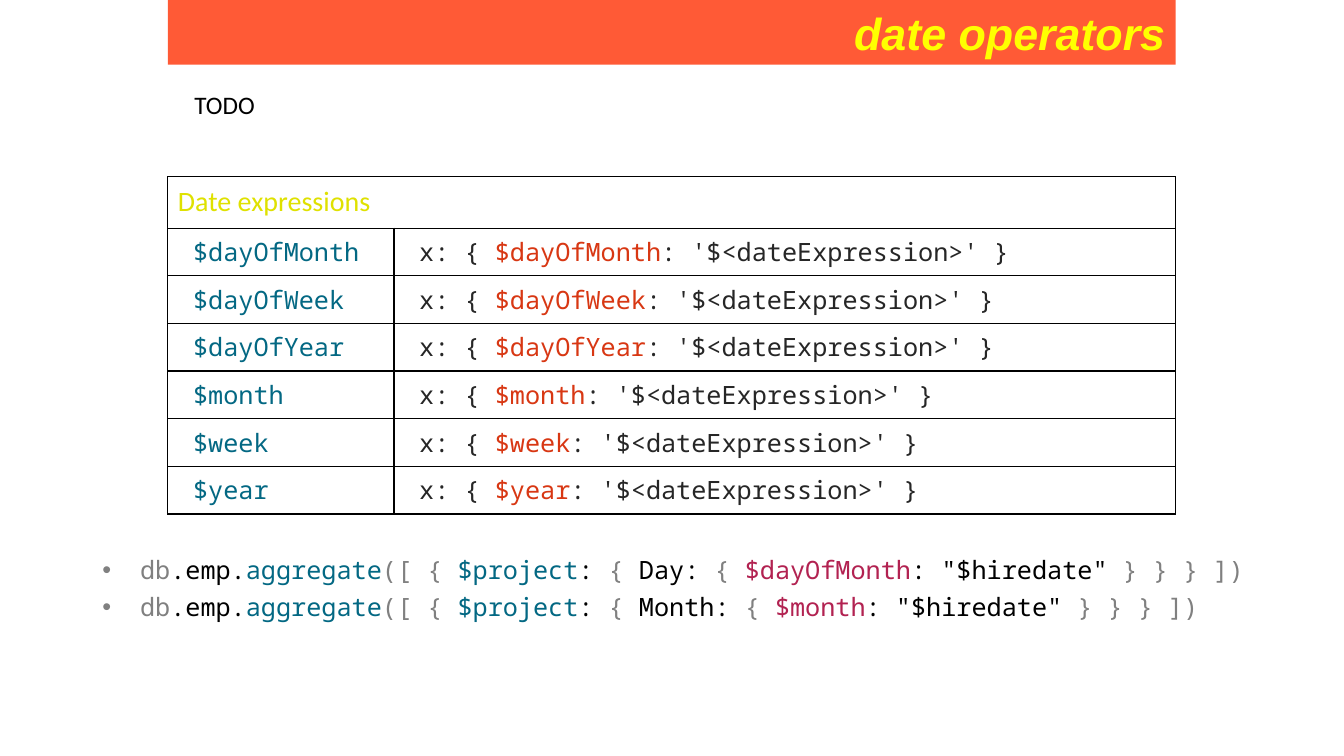
import lxml.etree
import pptx
import pptx.dml.color
import pptx.enum.text
import pptx.oxml.ns
import pptx.util

Cm = pptx.util.Cm
Pt = pptx.util.Pt
RGBColor = pptx.dml.color.RGBColor
Align = pptx.enum.text.PP_ALIGN
Anchor = pptx.enum.text.MSO_ANCHOR
qn = pptx.oxml.ns.qn

BLACK = RGBColor(0x00, 0x00, 0x00)
DARK = RGBColor(0x26, 0x26, 0x26)
GRAY = RGBColor(0x80, 0x80, 0x80)
TEAL = RGBColor(0x03, 0x68, 0x83)
RED = RGBColor(0xD8, 0x37, 0x13)
PINK = RGBColor(0xB2, 0x22, 0x51)
LIME = RGBColor(0xDF, 0xE1, 0x00)
YELLOW = RGBColor(0xFF, 0xFF, 0x00)
ORANGE = RGBColor(0xFF, 0x5A, 0x36)

HEAD = {"name": "Arial", "size": Pt(32), "bold": True, "italic": True}
NOTE = {"name": "Calibri", "size": Pt(18)}
GROUP = {"name": "Calibri", "size": Pt(20)}
CODE = {"name": "Noto Sans Mono", "size": Pt(18)}

NAMES = ["$dayOfMonth", "$dayOfWeek", "$dayOfYear", "$month", "$week", "$year"]
CALLS = [("Day", "$dayOfMonth"), ("Month", "$month")]


class Deck:
    """Hold the text styles and the current slide."""

    def __init__(self):
        """Open a wide deck with one title-only slide."""
        self.file = pptx.Presentation()
        self.file.slide_width = Cm(33.87)
        self.file.slide_height = Cm(19.05)
        self.slide = self.file.slides.add_slide(self.file.slide_layouts[5])

    def place(self, shape, box):
        """Set the left, top, width and height of a shape."""
        for key, size in zip(("left", "top", "width", "height"), box):
            setattr(shape, key, Cm(size))

    def fill(self, para, style, runs):
        """Add coloured runs in one style to a paragraph."""
        for text, color in runs:
            run = para.add_run()
            run.text = text
            for key, value in style.items():
                setattr(run.font, key, value)
            run.font.color.rgb = color

    def title(self, box, text):
        """Turn the title placeholder into a filled banner."""
        shape = self.slide.shapes.title
        self.place(shape, box)
        shape.fill.solid()
        shape.fill.fore_color.rgb = ORANGE
        frame = shape.text_frame
        frame.auto_size = pptx.enum.text.MSO_AUTO_SIZE.NONE
        frame.vertical_anchor = Anchor.MIDDLE
        para = frame.paragraphs[0]
        para.alignment = Align.RIGHT
        self.fill(para, HEAD, [(text, YELLOW)])

    def text(self, box, style, lines, mark=None):
        """Add a text box, with a bullet on each line if a mark is given."""
        frame = self.slide.shapes.add_textbox(*map(Cm, box)).text_frame
        frame.word_wrap = True
        for index, runs in enumerate(lines):
            para = frame.add_paragraph() if index else frame.paragraphs[0]
            self.fill(para, style, runs)
            if mark:
                para.space_before = Pt(5 if index else 0)
                self.bullet(para, mark)

    def bullet(self, para, mark):
        """Give a paragraph a hanging bullet."""
        props = para._p.get_or_add_pPr()
        props.set("marL", str(Cm(0.95)))
        props.set("indent", str(-Cm(0.95)))
        lxml.etree.SubElement(props, qn("a:buFont"), typeface="Arial")
        lxml.etree.SubElement(props, qn("a:buChar"), char=mark)

    def border(self, cell):
        """Draw a thin black line on each side of a cell."""
        props = cell._tc.get_or_add_tcPr()
        for index, side in enumerate("LRTB"):
            line = lxml.etree.Element(qn("a:ln" + side), w=str(Pt(1)))
            fill = lxml.etree.SubElement(line, qn("a:solidFill"))
            lxml.etree.SubElement(fill, qn("a:srgbClr"), val=str(BLACK))
            props.insert(index, line)

    def table(self, box, widths, heights, head, rows):
        """Add a plain ruled table under a merged heading row."""
        shape = self.slide.shapes.add_table(len(heights), len(widths), *map(Cm, box))
        grid = shape.table
        grid.first_row = grid.horz_banding = False
        for col, width in zip(grid.columns, widths):
            col.width = Cm(width)
        for row, height in zip(grid.rows, heights):
            row.height = Cm(height)
        for cell in grid.iter_cells():
            cell.fill.background()
            cell.vertical_anchor = Anchor.MIDDLE
            self.border(cell)
        top = grid.cell(0, 0)
        top.merge(grid.cell(0, len(widths) - 1))
        self.fill(top.text_frame.paragraphs[0], GROUP, [(head, LIME)])
        for r, row in enumerate(rows, 1):
            for c, runs in enumerate(row):
                para = grid.cell(r, c).text_frame.paragraphs[0]
                self.fill(para, CODE, runs)


def entry(name):
    """Return the two table cells for an operator."""
    usage = [(" x: { ", DARK), (name, RED), (": '$<dateExpression>' }", DARK)]
    return [[(" " + name, TEAL)], usage]


def query(label, name):
    """Return the runs of one sample query."""
    return [
        ("db", GRAY), (".emp.", BLACK), ("aggregate", TEAL), ("([ { ", GRAY),
        ("$project", TEAL), (": ", BLACK), ("{", GRAY), (f" {label}: ", BLACK),
        ("{ ", GRAY), (name, PINK), (': "$hiredate" ', BLACK), ("} } } ])", GRAY),
    ]


def main():
    """Build and save the slide."""
    deck = Deck()
    deck.title((4.23, 0, 25.4, 1.63), "date operators")
    deck.text((4.65, 2.12, 24.55, 1.03), NOTE, [[("TODO", BLACK)]])
    deck.table((4.23, 4.45, 25.4, 8.5), (5.7, 19.7), [1.3] + [1.2] * len(NAMES),
               "Date expressions", [entry(name) for name in NAMES])
    deck.text((2.33, 13.85, 29.6, 2.06), CODE, [query(*call) for call in CALLS], "•")
    deck.file.save("out.pptx")


if __name__ == "__main__":
    main()
